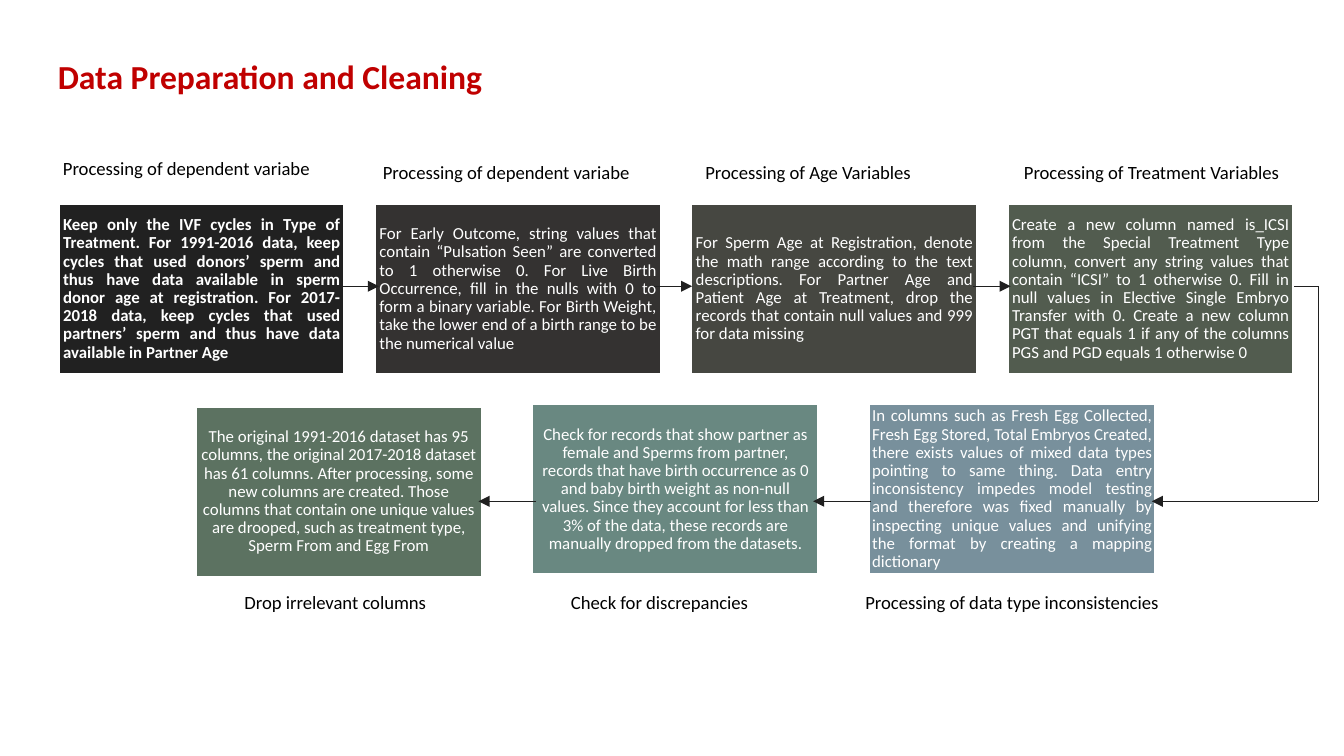
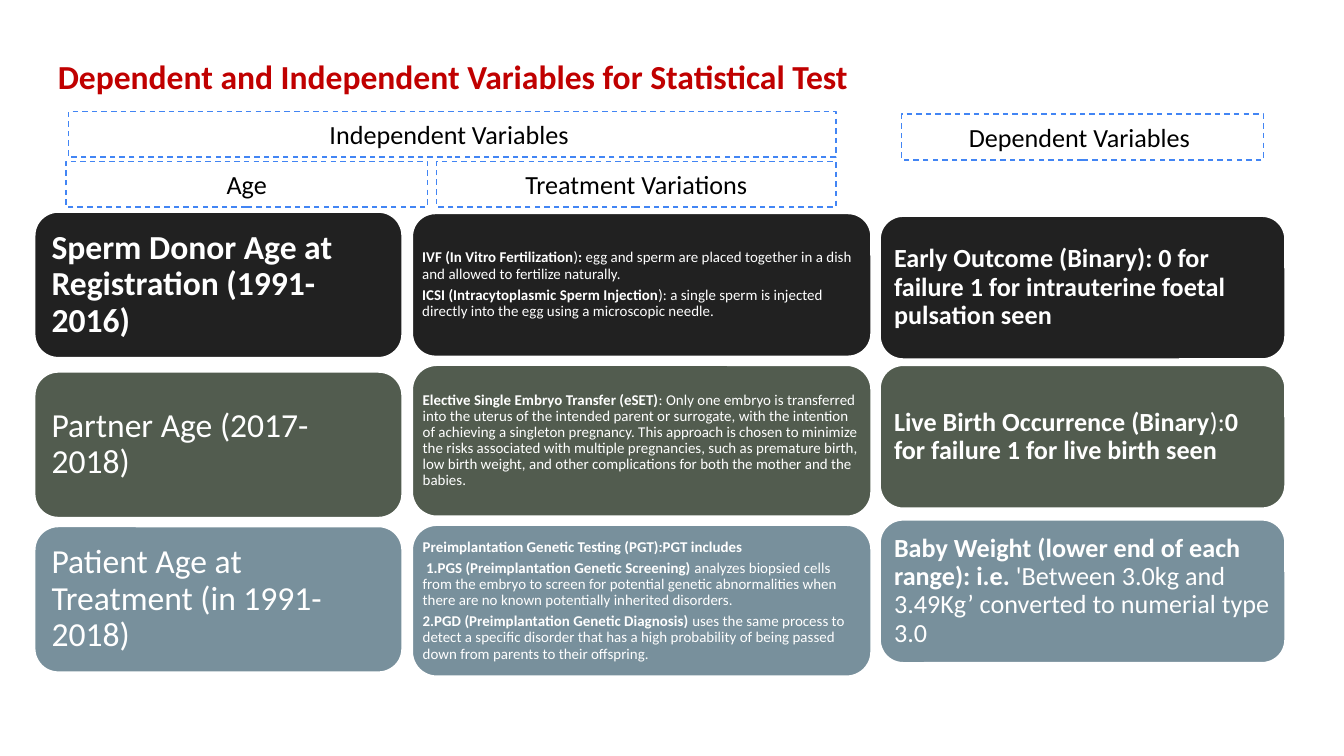
from dataclasses import dataclass

from lxml import etree
from pptx import Presentation
from pptx import util as u
from pptx.dml.color import RGBColor
from pptx.enum import dml, shapes, text
from pptx.oxml.ns import qn

ALIGN = text.PP_ALIGN
ANCHOR = text.MSO_ANCHOR
SHAPE = shapes.MSO_SHAPE


@dataclass(frozen=True)
class Theme:
    font: str = "Calibri"
    title: str = "C00000"
    ink: str = "000000"
    white: str = "FFFFFF"
    arrow: str = "202020"
    dash: str = "4285F4"
    ramp: tuple = ("212121", "343231", "464741", "525C4F", "5C7261", "698881", "78909C")
    title_pt: float = 18
    step_pt: float = 9
    label_pt: float = 10
    heading_pt: float = 14
    border_pt: float = 2
    thin_pt: float = 0.75


T = Theme()


@dataclass(frozen=True)
class Box:
    x: float
    y: float
    w: float
    h: float

    def place(self) -> tuple:
        return tuple(u.Inches(v) for v in (self.x, self.y, self.w, self.h))


@dataclass(frozen=True)
class Style:
    size: float
    color: str = T.white
    inset: float = 0.04
    align: ALIGN = ALIGN.LEFT
    anchor: ANCHOR = ANCHOR.MIDDLE
    tight: bool = True


@dataclass(frozen=True)
class Step:
    label: str
    label_x: float
    label_y: float
    body: str
    y: float
    align: ALIGN = ALIGN.JUSTIFY
    label_w: float = 2.58
    label_align: ALIGN = ALIGN.JUSTIFY
    inset: float = 0.04


@dataclass(frozen=True)
class Column:
    x: float
    w: float
    size: float
    inset: float
    cards: tuple  # (top, height, paragraphs)


@dataclass(frozen=True)
class Arrow:
    x1: float
    y1: float
    x2: float
    y2: float
    head: bool = True


def rgb(value: str) -> RGBColor:
    return RGBColor.from_string(value)


def apply(obj, formats: dict) -> None:
    for name, value in formats.items():
        setattr(obj, name, value)


def even(first: float, last: float, count: int) -> list:
    """Evenly spaced positions from first to last."""
    return [first + (last - first) * i / (count - 1) for i in range(count)]


def write(tf, paragraphs: tuple, st: Style) -> None:
    """Fill a text frame; ** switches bold on and off."""
    side = u.Inches(st.inset)
    edge = min(side, u.Inches(0.07))
    apply(tf, {"word_wrap": True, "auto_size": text.MSO_AUTO_SIZE.NONE,
               "vertical_anchor": st.anchor, "margin_left": side, "margin_right": side,
               "margin_top": edge, "margin_bottom": edge})
    for i, content in enumerate(paragraphs):
        p = tf.paragraphs[0] if i == 0 else tf.add_paragraph()
        p.alignment = st.align
        if st.tight:
            apply(p, {"line_spacing": 0.9, "space_before": u.Pt(0),
                      "space_after": u.Pt(0.35 * st.size)})
        for j, part in enumerate(content.split("**")):
            if part:
                r = p.add_run()
                r.text = part
                apply(r.font, {"name": T.font, "size": u.Pt(st.size), "bold": j % 2 == 1})
                r.font.color.rgb = rgb(st.color)


def add_title_slide(prs, title: str):
    s = prs.slides.add_slide(prs.slide_layouts[5])
    sp = s.shapes.title
    sp.left, sp.top, sp.width, sp.height = Box(0.43, 0.33, 8.01, 0.51).place()
    write(sp.text_frame, (f"**{title}**",), Style(T.title_pt, T.title, 0))
    return s


def add_card(s, kind: SHAPE, box: Box, fill: str, paragraphs: tuple, st: Style) -> None:
    sp = s.shapes.add_shape(kind, *box.place())
    sp.shadow.inherit = False
    sp.fill.solid()
    sp.fill.fore_color.rgb = rgb(fill)
    sp.line.color.rgb = rgb(T.white)
    sp.line.width = u.Pt(T.border_pt)
    write(sp.text_frame, paragraphs, st)


def add_label(s, box: Box, label: str, align: ALIGN) -> None:
    tb = s.shapes.add_textbox(*box.place())
    write(tb.text_frame, (label,),
          Style(T.label_pt, T.ink, 0.1, align, ANCHOR.TOP, False))
    apply(tb.text_frame, {"margin_top": u.Inches(0.05), "margin_bottom": u.Inches(0.05)})


def add_heading(s, box: Box, label: str) -> None:
    sp = s.shapes.add_shape(SHAPE.RECTANGLE, *box.place())
    sp.shadow.inherit = False
    sp.fill.background()
    sp.line.color.rgb = rgb(T.dash)
    apply(sp.line, {"width": u.Pt(T.thin_pt), "dash_style": dml.MSO_LINE.DASH})
    write(sp.text_frame, (label,),
          Style(T.heading_pt, T.ink, 0.05, ALIGN.CENTER, tight=False))


def add_arrow(s, a: Arrow) -> None:
    ends = (u.Inches(v) for v in (a.x1, a.y1, a.x2, a.y2))
    cx = s.shapes.add_connector(shapes.MSO_CONNECTOR.STRAIGHT, *ends)
    cx.line.color.rgb = rgb(T.arrow)
    cx.line.width = u.Pt(T.thin_pt)
    if a.head:
        etree.SubElement(cx.line._get_or_add_ln(), qn("a:tailEnd"), type="triangle")
    etree.SubElement(cx._element.spPr, qn("a:effectLst"))


STEPS = (
    Step("Processing of dependent variabe", 0.37, 1.12,
         "**Keep only the IVF cycles in Type of Treatment. For 1991-2016 data, keep cycles "
         "that used donors’ sperm and thus have data available in sperm donor age at "
         "registration. For 2017-2018 data, keep cycles that used partners’ sperm and thus "
         "have data available in Partner Age**", 1.51, label_align=ALIGN.LEFT),
    Step("Processing of dependent variabe", 2.75, 1.15,
         "For Early Outcome, string values that contain “Pulsation Seen” are converted to 1 "
         "otherwise 0. For Live Birth Occurrence, fill in the nulls with 0 to form a binary "
         "variable. For Birth Weight, take the lower end of a birth range to be the "
         "numerical value", 1.51, label_align=ALIGN.LEFT),
    Step("Processing of Age Variables", 5.15, 1.15,
         "For Sperm Age at Registration, denote the math range according to the text "
         "descriptions. For Partner Age and Patient Age at Treatment, drop the records that "
         "contain null values and 999 for data missing", 1.51, label_align=ALIGN.LEFT),
    Step("Processing of Treatment Variables", 7.52, 1.15,
         "Create a new column named is_ICSI from the Special Treatment Type column, convert "
         "any string values that contain “ICSI” to 1 otherwise 0. Fill in null values in "
         "Elective Single Embryo Transfer with 0. Create a new column PGT that equals 1 if "
         "any of the columns PGS and PGD equals 1 otherwise 0 ", 1.51, label_w=2.48),
    Step("Drop irrelevant columns", 1.72, 4.35,
         "The original 1991-2016 dataset has 95 columns, the original 2017-2018 dataset has "
         "61 columns. After processing, some new columns are created. Those columns that "
         "contain one unique values are drooped, such as treatment type, Sperm From and Egg "
         "From", 3.02, ALIGN.CENTER),
    Step("Check for discrepancies", 4.15, 4.35,
         "Check for records that show partner as female and Sperms from partner, records "
         "that have birth occurrence as 0 and baby birth weight as non-null values. Since "
         "they account for less than 3% of the data, these records are manually dropped "
         "from the datasets.", 3, ALIGN.CENTER),
    Step("Processing of data type inconsistencies", 6.34, 4.35,
         "In columns such as Fresh Egg Collected, Fresh Egg Stored, Total Embryos Created, "
         "there exists values of mixed data types pointing to same thing. Data entry "
         "inconsistency impedes model testing and therefore was fixed manually by inspecting "
         "unique values and unifying the format by creating a mapping dictionary ", 3,
         label_w=2.78, inset=0.03),
)
STEP_X = even(0.43, 7.49, 4) + even(1.45, 6.46, 3)

TOP_Y, BOTTOM_Y, TURN_X = 2.13, 3.73, 9.81
ARROWS = (
    *(Arrow(x, TOP_Y, x + 0.28, TOP_Y) for x in (2.54, 4.87, 7.24)),
    Arrow(9.63, TOP_Y, TURN_X, TOP_Y, False),
    Arrow(TURN_X, TOP_Y, TURN_X, BOTTOM_Y, False),
    Arrow(TURN_X, BOTTOM_Y, 8.57, BOTTOM_Y),
    *(Arrow(x, BOTTOM_Y, x - 0.43, BOTTOM_Y) for x in (6.48, 3.99)),
)

TREATMENTS = Column(3.06, 3.43, 8, 0.03, (
    (1.58, 1.08, (
        "**IVF (In Vitro Fertilization**)**: **egg and sperm are placed together in a dish "
        "and allowed to fertilize naturally.",
        "**ICSI (Intracytoplasmic Sperm Injection**): a single sperm is injected directly "
        "into the egg using a microscopic needle.")),
    (2.71, 1.14, (
        "**Elective Single Embryo Transfer (eSET)**: Only one embryo is transferred into the "
        "uterus of the intended parent or surrogate, with the intention of achieving a "
        "singleton pregnancy. This approach is chosen to minimize the risks associated with "
        "multiple pregnancies, such as premature birth, low birth weight, and other "
        "complications for both the mother and the babies.",)),
    (3.9, 1.14, (
        "**Preimplantation Genetic Testing (PGT):PGT includes**",
        "** 1.PGS (Preimplantation Genetic Screening) **analyzes biopsied cells from the "
        "embryo to screen for potential genetic abnormalities when there are no known "
        "potentially inherited disorders.",
        "**2.PGD (Preimplantation Genetic Diagnosis) **uses the same process to detect a "
        "specific disorder that has a high probability of being passed down from parents to "
        "their offspring.")),
))
AGES = Column(0.25, 2.75, 18, 0.08, (
    (1.57, 1.1, ("**Sperm Donor Age at Registration (1991-2016)**",)),
    (2.76, 1.1, ("Partner Age (2017-2018)",)),
    (3.91, 1.1, ("Patient Age at Treatment (in 1991-2018)",)),
))
OUTCOMES = Column(6.54, 3.03, 14, 0.06, (
    (1.6, 1.08, ("**Early Outcome (Binary): 0 for failure 1 for intrauterine foetal "
                 "pulsation seen**",)),
    (2.71, 1.08, ("**Live Birth Occurrence (Binary**):**0 for failure 1 for live birth "
                  "seen**",)),
    (3.86, 1.08, ("**Baby Weight (lower end of each range): i.e. **'Between 3.0kg and "
                  "3.49Kg’ converted to numerial type 3.0",)),
))
HEADINGS = (
    ("Independent Variables ", Box(0.51, 0.83, 5.71, 0.34)),
    ("Dependent Variables ", Box(6.71, 0.85, 2.69, 0.34)),
    ("Age", Box(0.49, 1.2, 2.69, 0.34)),
    ("Treatment Variations", Box(3.25, 1.2, 2.97, 0.34)),
)


def build_cleaning(prs) -> None:
    s = add_title_slide(prs, "Data Preparation and Cleaning")
    for step, x, fill in zip(STEPS, STEP_X, T.ramp):
        add_card(s, SHAPE.RECTANGLE, Box(x, step.y, 2.14, 1.28), fill, (step.body,),
                 Style(T.step_pt, inset=step.inset, align=step.align))
    for arrow in ARROWS:
        add_arrow(s, arrow)
    for step in STEPS:
        add_label(s, Box(step.label_x, step.label_y, step.label_w, 0.44), step.label,
                  step.label_align)


def build_variables(prs) -> None:
    s = add_title_slide(prs, "Dependent and Independent Variables for Statistical Test")
    for col in (TREATMENTS, AGES, OUTCOMES):
        for (y, h, paragraphs), fill in zip(col.cards, T.ramp[::3]):
            add_card(s, SHAPE.ROUNDED_RECTANGLE, Box(col.x, y, col.w, h), fill, paragraphs,
                     Style(col.size, inset=col.inset))
    for label, box in HEADINGS:
        add_heading(s, box, label)


def main() -> None:
    prs = Presentation()
    width = u.Inches(10)
    apply(prs, {"slide_width": width, "slide_height": width * 9 // 16})
    build_cleaning(prs)
    build_variables(prs)
    prs.save("out.pptx")


if __name__ == "__main__":
    main()
